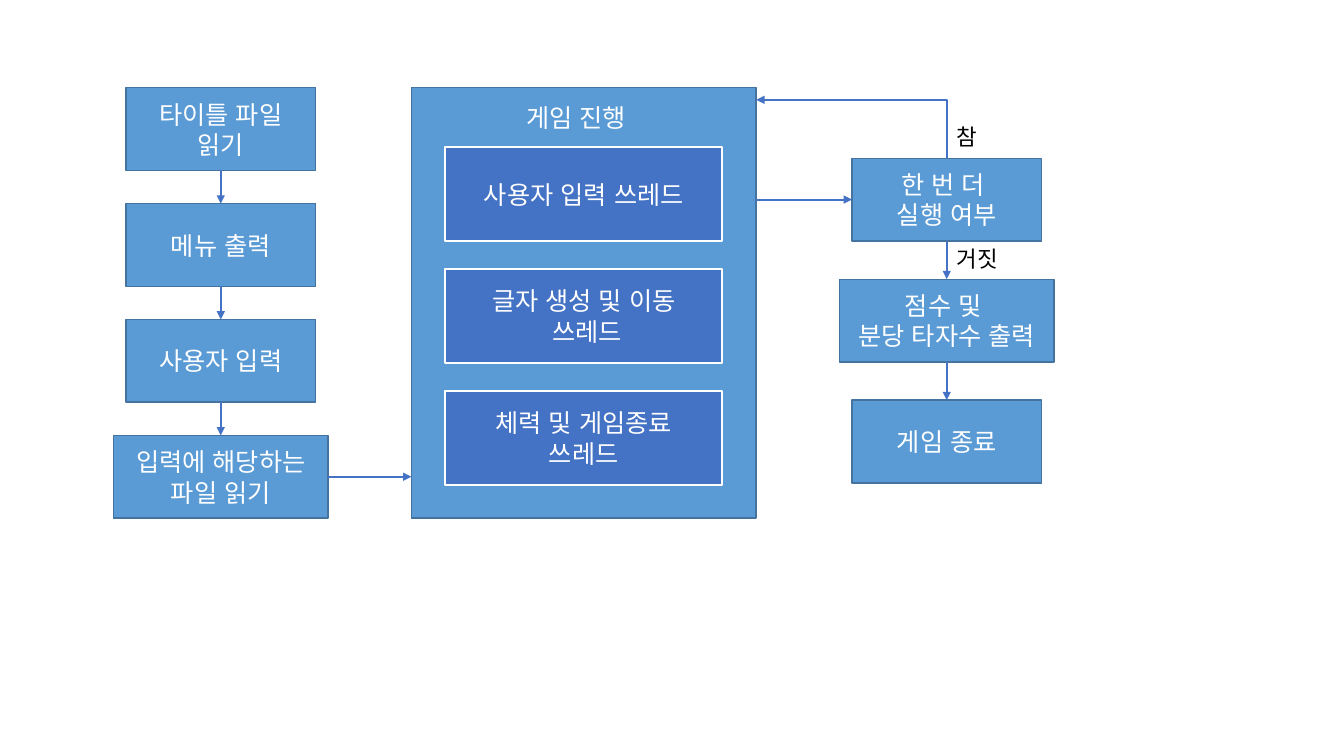
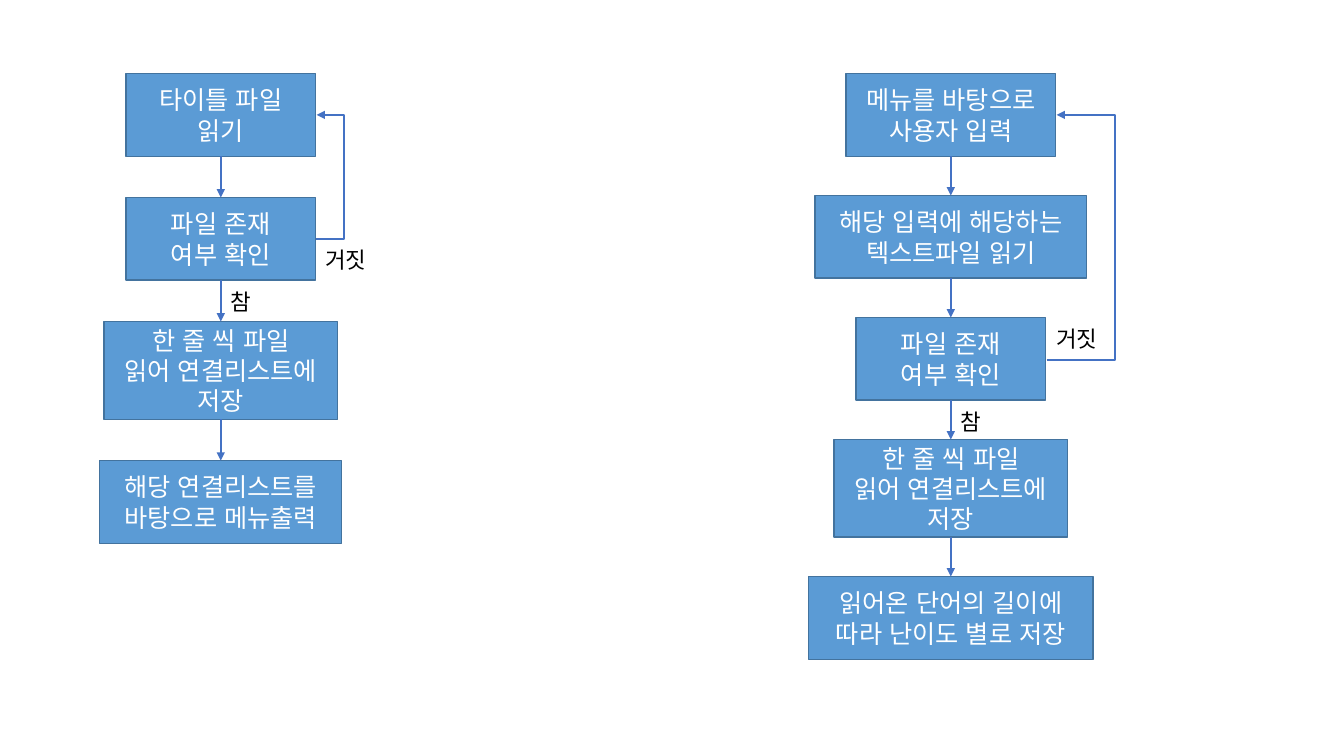
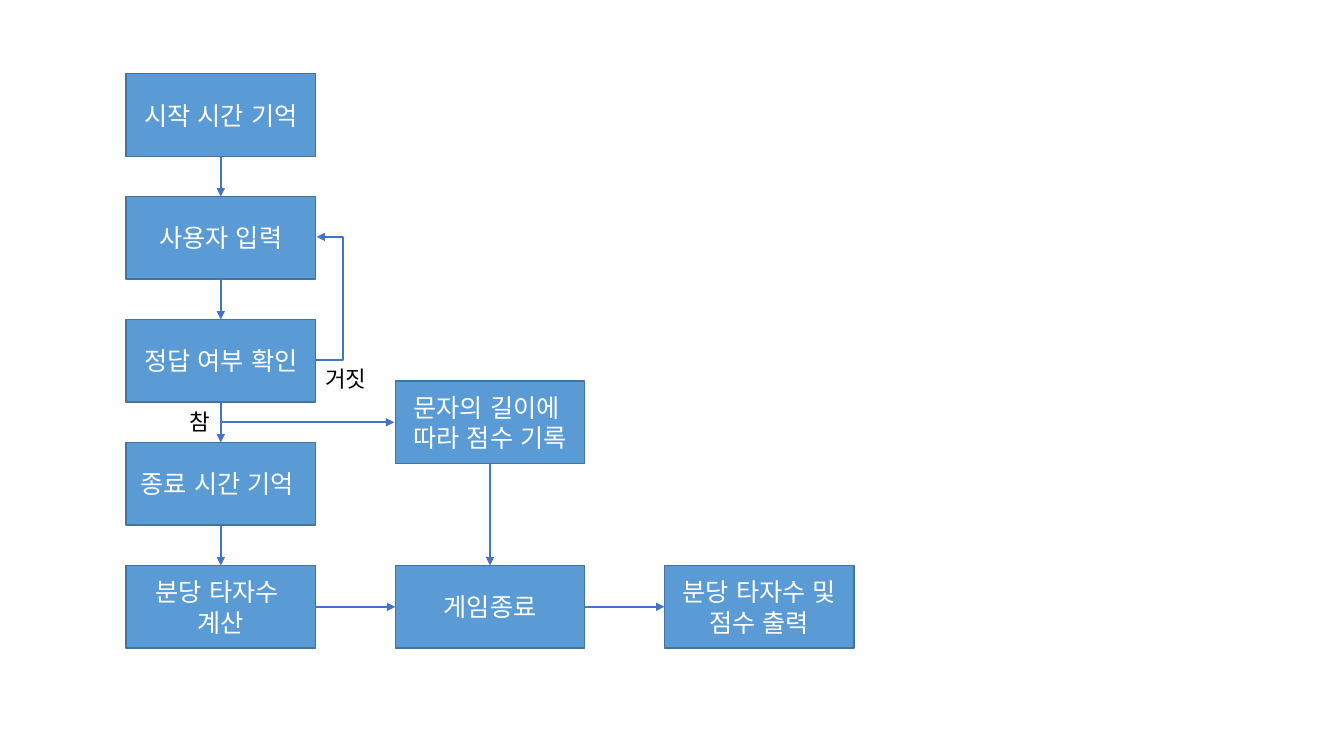
from lxml import etree
from pptx import Presentation
from pptx.dml.color import RGBColor
from pptx.enum import lang, shapes, text
from pptx.oxml.ns import qn
from pptx.util import Inches, Pt

FONT = "Noto Sans CJK KR"
BLUE = RGBColor(0x5B, 0x9B, 0xD5)
EDGE = RGBColor(0x43, 0x73, 0x9E)
ROYAL = RGBColor(0x44, 0x72, 0xC4)
WHITE = RGBColor(0xFF, 0xFF, 0xFF)
BLACK = RGBColor(0x00, 0x00, 0x00)

STEP = {"fill": BLUE, "edge": EDGE, "weight": 1}
THREAD = {"fill": ROYAL, "edge": WHITE, "weight": 1.5}
STEP_WIDTH, STEP_HEIGHT = 1.88, 0.82
LEFT_AXIS = 2.19
TOP, LEFT, BOTTOM, RIGHT = range(4)  # connection sites of a rectangle


def write(frame, wording, size, color, align):
    """Fill the frame with one paragraph for each line of wording."""
    frame.word_wrap = True
    for index, line in enumerate(wording.split("\n")):
        para = frame.paragraphs[0] if index == 0 else frame.add_paragraph()
        para.alignment = align
        span = para.add_run()
        span.text = line
        span.font.color.rgb = color
        formats = {"size": Pt(size), "name": FONT,
                   "language_id": lang.MSO_LANGUAGE_ID.KOREAN}
        for key, value in formats.items():
            setattr(span.font, key, value)
        etree.SubElement(span.font._element, qn("a:ea"), typeface=FONT)


def add_box(page, left, top, width, height, wording="", look=STEP):
    box = page.shapes.add_shape(
        shapes.MSO_SHAPE.RECTANGLE,
        Inches(left), Inches(top), Inches(width), Inches(height))
    box.shadow.inherit = False
    box.fill.solid()
    box.fill.fore_color.rgb = look["fill"]
    box.line.color.rgb = look["edge"]
    box.line.width = Pt(look["weight"])
    if wording:
        box.text_frame.vertical_anchor = text.MSO_ANCHOR.MIDDLE
        write(box.text_frame, wording, 18, WHITE, text.PP_ALIGN.CENTER)
    return box


def add_label(page, left, top, width, wording, size=16, color=BLACK):
    label = page.shapes.add_textbox(
        Inches(left), Inches(top), Inches(width), Inches(0.37))
    write(label.text_frame, wording, size, color, text.PP_ALIGN.LEFT)


def style_arrow(arrow):
    arrow.line.color.rgb = ROYAL
    arrow.line.width = Pt(1.5)
    etree.SubElement(arrow.line._get_or_add_ln(), qn("a:tailEnd"), type="triangle")


def add_arrow(page, start, end):
    ends = [Inches(value) for value in (*start, *end)]
    arrow = page.shapes.add_connector(shapes.MSO_CONNECTOR.STRAIGHT, *ends)
    style_arrow(arrow)
    etree.SubElement(arrow._element.spPr, qn("a:effectLst"))
    return arrow


def connect(page, source, source_site, target, target_site):
    arrow = add_arrow(page, (0, 0), (0, 0))
    arrow.begin_connect(source, source_site)
    arrow.end_connect(target, target_site)


def add_bent_arrow(page, *points):
    """Draw an arrow through right-angled corners."""
    (start_x, start_y), *others = [(Inches(x), Inches(y)) for x, y in points]
    builder = page.shapes.build_freeform(start_x, start_y)
    builder.add_line_segments(others, close=False)
    arrow = builder.convert_to_shape()
    arrow.shadow.inherit = False
    arrow.fill.background()
    style_arrow(arrow)


def add_stack(page, axis, top, gap, steps, look=STEP, arrows=True):
    """Stack (wording, width, height) steps around a vertical axis."""
    boxes = []
    for wording, width, height in steps:
        boxes.append(add_box(page, axis - width / 2, top, width, height, wording, look))
        top += height + gap
    if arrows:
        for upper, lower in zip(boxes, boxes[1:]):
            connect(page, upper, BOTTOM, lower, TOP)
    return boxes


def step(wording, width=STEP_WIDTH, height=STEP_HEIGHT):
    return wording, width, height


CHECK_FILE = step("파일 존재\n여부 확인")
READ_TITLE = step("타이틀 파일\n읽기")
STORE_LINES = step("한 줄 씩 파일\n읽어 연결리스트에 저장", 2.32, 0.97)


def build_game_flow(page):
    add_stack(page, LEFT_AXIS, 0.87, 0.33, [
        READ_TITLE,
        step("메뉴 출력"),
        step("사용자 입력"),
        step("입력에 해당하는 파일 읽기", 2.13),
    ])
    add_box(page, 4.08, 0.87, 3.42, 4.27)
    add_label(page, 5.12, 0.97, 1.33, "게임 진행", 18, WHITE)
    threads = ["사용자 입력 쓰레드", "글자 생성 및 이동\n 쓰레드", "체력 및 게임종료\n쓰레드"]
    add_stack(page, 5.79, 1.46, 0.28,
              [step(thread, 2.75, 0.93) for thread in threads], THREAD, arrows=False)
    add_stack(page, 9.39, 1.57, 0.38, [
        step("한 번 더 \n실행 여부"),
        step("점수 및 \n분당 타자수 출력", 2.13),
        step("게임 종료"),
    ])
    add_arrow(page, (3.25, 4.73), (4.08, 4.73))
    add_arrow(page, (7.5, 1.98), (8.45, 1.98))
    add_bent_arrow(page, (9.39, 1.57), (9.39, 0.99), (7.5, 0.99))
    add_label(page, 9.39, 1.17, 1.2, "참")
    add_label(page, 9.39, 2.38, 0.74, "거짓")


def build_file_flow(page):
    add_stack(page, LEFT_AXIS, 0.73, 0.41, [
        READ_TITLE,
        CHECK_FILE,
        STORE_LINES,
        step("해당 연결리스트를 바탕으로 메뉴출력", 2.4),
    ])
    add_bent_arrow(page, (3.13, 2.37), (3.41, 2.37), (3.41, 1.14), (3.14, 1.14))
    add_label(page, 2.19, 2.81, 1.2, "참")
    add_label(page, 3.13, 2.39, 0.74, "거짓")

    add_stack(page, 9.43, 0.73, 0.39, [
        step("메뉴를 바탕으로 사용자 입력", 2.08),
        step("해당 입력에 해당하는 텍스트파일 읽기", 2.69),
        CHECK_FILE,
        STORE_LINES,
        step("읽어온 단어의 길이에 따라 난이도 별로 저장", 2.82),
    ])
    add_bent_arrow(page, (10.38, 3.57), (11.06, 3.57), (11.06, 1.14), (10.48, 1.14))
    add_label(page, 9.43, 4, 1.2, "참")
    add_label(page, 10.38, 3.18, 0.74, "거짓")


def build_score_flow(page):
    *_, speed = add_stack(page, LEFT_AXIS, 0.73, 0.4, [
        step("시작 시간 기억"),
        step("사용자 입력"),
        step("정답 여부 확인"),
        step("종료 시간 기억 "),
        step("분당 타자수 \n계산"),
    ])
    score, finish = add_stack(page, 4.86, 3.78, 1.01, [
        step("문자의 길이에 \n따라 점수 기록"),
        step("게임종료"),
    ])
    result = add_box(page, 6.59, 5.61, STEP_WIDTH, STEP_HEIGHT, "분당 타자수 및 점수 출력")
    connect(page, speed, RIGHT, finish, LEFT)
    connect(page, finish, RIGHT, result, LEFT)
    add_bent_arrow(page, (3.13, 3.57), (3.4, 3.57), (3.4, 2.35), (3.14, 2.35))
    add_bent_arrow(page, (2.19, 3.98), (2.19, 4.19), (3.91, 4.19))
    add_label(page, 1.78, 4, 1.2, "참")
    add_label(page, 3.13, 3.57, 0.74, "거짓")


def main():
    deck = Presentation()
    deck.slide_width, deck.slide_height = Inches(13.33), Inches(7.5)
    for build in (build_game_flow, build_file_flow, build_score_flow):
        build(deck.slides.add_slide(deck.slide_layouts[6]))
    deck.save("out.pptx")


if __name__ == "__main__":
    main()
